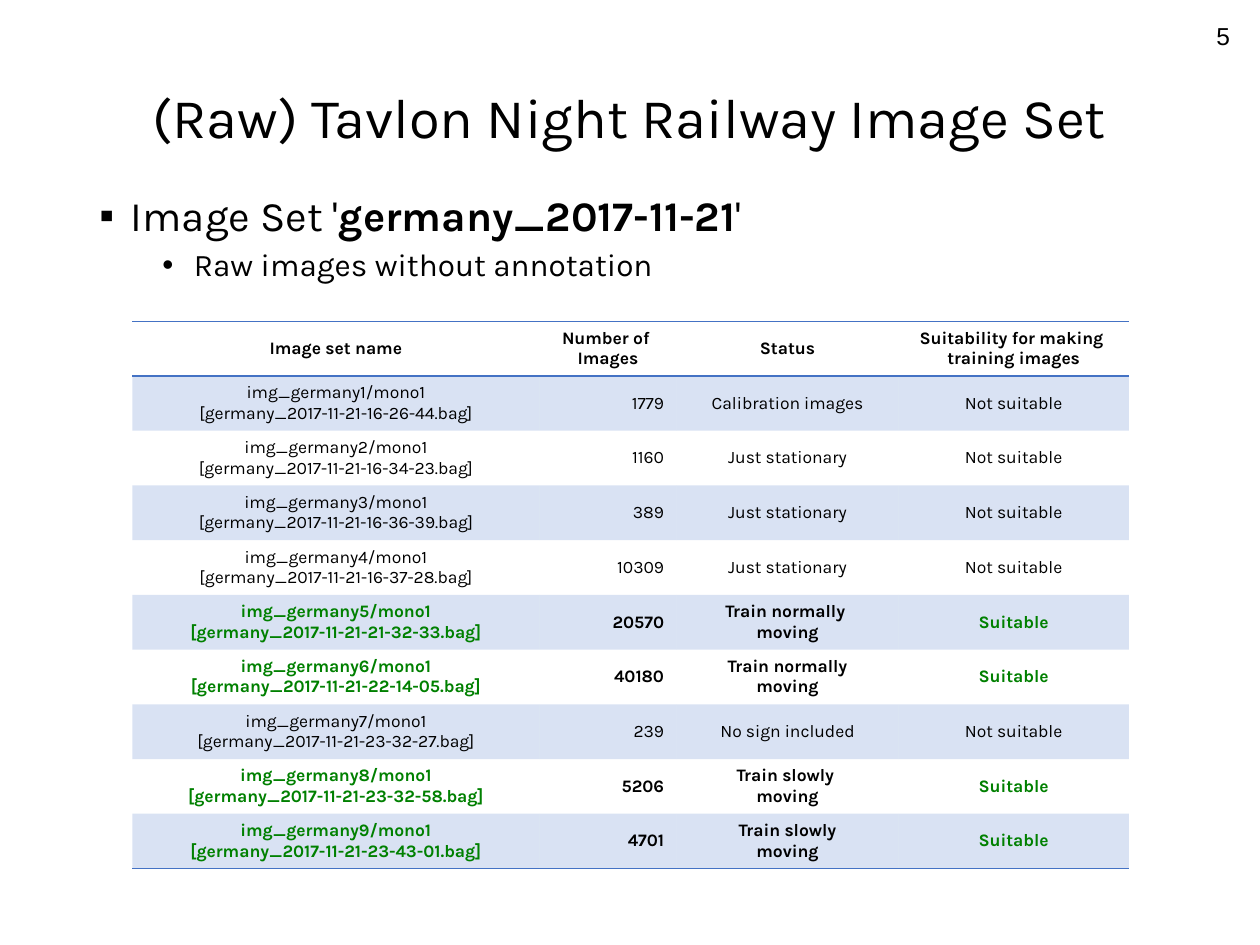
import dataclasses

import lxml.etree
import pptx
import pptx.dml.color
import pptx.enum.text
import pptx.oxml.ns
import pptx.slide
import pptx.table
import pptx.text.text
import pptx.util

SLIDE_WIDTH, SLIDE_HEIGHT = 10, 7.5
FONT = "Karla"
BLACK, GREEN, BLUE = "000000", "008000", "4472C4"
NO_TABLE_STYLE = "{2D5ABB26-0587-4C30-8999-92F81FD0307C}"
CENTER = pptx.enum.text.PP_ALIGN.CENTER
RIGHT = pptx.enum.text.PP_ALIGN.RIGHT
MIDDLE = pptx.enum.text.MSO_ANCHOR.MIDDLE

COLUMN_WIDTHS = (3.23, 1.09, 1.76, 1.83)
ROW_HEIGHT = 0.42
# "\v" breaks a line inside a paragraph, "\n" starts a new paragraph.
HEADERS = (
    "Image set name",
    "Number of \vImages",
    "Status",
    "Suitability for making \vtraining images",
)


@dataclasses.dataclass(frozen=True)
class Box:
    """Place on the slide, in shares of its width and height."""
    left: float
    top: float
    width: float
    height: float

    def lengths(self) -> list[int]:
        return [
            pptx.util.Inches(self.left * SLIDE_WIDTH),
            pptx.util.Inches(self.top * SLIDE_HEIGHT),
            pptx.util.Inches(self.width * SLIDE_WIDTH),
            pptx.util.Inches(self.height * SLIDE_HEIGHT),
        ]


@dataclasses.dataclass(frozen=True)
class ImageSet:
    number: int
    time: str
    images: int
    status: str
    suitable: bool = False

    def texts(self) -> tuple[str, ...]:
        return (
            f"img_germany{self.number}/mono1\n[germany_2017-11-21-{self.time}.bag]",
            str(self.images),
            self.status,
            "Suitable" if self.suitable else "Not suitable",
        )


@dataclasses.dataclass(frozen=True)
class Bullet:
    character: str
    level: int
    indent: float
    space_before: float
    size: float
    runs: tuple[tuple[str, bool], ...]


IMAGE_SETS = (
    ImageSet(1, "16-26-44", 1779, "Calibration images"),
    ImageSet(2, "16-34-23", 1160, "Just stationary"),
    ImageSet(3, "16-36-39", 389, "Just stationary"),
    ImageSet(4, "16-37-28", 10309, "Just stationary"),
    ImageSet(5, "21-32-33", 20570, "Train normally \nmoving", True),
    ImageSet(6, "22-14-05", 40180, "Train normally\nmoving", True),
    ImageSet(7, "23-32-27", 239, "No sign included"),
    ImageSet(8, "23-32-58", 5206, "Train slowly \vmoving", True),
    ImageSet(9, "23-43-01", 4701, "Train slowly\vmoving", True),
)
BULLETS = (
    Bullet("▪", 0, 0.25, 10, 24,
           (("Image Set '", False), ("germany_2017-11-21", True), ("'", False))),
    Bullet("•", 1, 0.75, 5, 18, (("Raw images without annotation", False),)),
)


def color(value: str) -> pptx.dml.color.RGBColor:
    return pptx.dml.color.RGBColor.from_string(value)


def add_element(parent, tag: str, **attributes: str):
    return lxml.etree.SubElement(parent, pptx.oxml.ns.qn(tag), attributes)


def style_font(paragraph, size: float, name: str = FONT,
               font_color: str = BLACK, bold: bool = False) -> None:
    font = paragraph.font
    font.name, font.size, font.bold = name, pptx.util.Pt(size), bold
    font.color.rgb = color(font_color)


def add_text_frame(slide: pptx.slide.Slide, box: Box) -> pptx.text.text.TextFrame:
    frame = slide.shapes.add_textbox(*box.lengths()).text_frame
    frame.word_wrap = True
    return frame


def add_line(slide: pptx.slide.Slide, box: Box, text: str, size: float,
             alignment: pptx.enum.text.PP_ALIGN, font_name: str = FONT) -> None:
    frame = add_text_frame(slide, box)
    frame.vertical_anchor = MIDDLE
    paragraph = frame.paragraphs[0]
    paragraph.text = text
    paragraph.alignment = alignment
    paragraph.line_spacing = 0.9
    style_font(paragraph, size, font_name)


def add_bullets(slide: pptx.slide.Slide, box: Box, bullets: tuple[Bullet, ...]) -> None:
    frame = add_text_frame(slide, box)
    for index, bullet in enumerate(bullets):
        paragraph = frame.add_paragraph() if index else frame.paragraphs[0]
        paragraph.level = bullet.level
        paragraph.line_spacing = 0.9
        paragraph.space_before = pptx.util.Pt(bullet.space_before)
        properties = paragraph._p.get_or_add_pPr()
        properties.set("marL", str(pptx.util.Inches(bullet.indent)))
        properties.set("indent", str(pptx.util.Inches(-0.25)))
        add_element(properties, "a:buFont", typeface="Arial")
        add_element(properties, "a:buChar", char=bullet.character)
        style_font(paragraph, bullet.size)
        for text, bold in bullet.runs:
            run = paragraph.add_run()
            run.text = text
            if bold:
                run.font.bold = True


def fill_cell(cell: pptx.table._Cell, banded: bool) -> None:
    if not banded:
        cell.fill.background()
        return
    cell.fill.solid()
    cell.fill.fore_color.rgb = color(BLUE)
    tint = cell._tc.tcPr.find(".//" + pptx.oxml.ns.qn("a:srgbClr"))
    add_element(tint, "a:alpha", val="20000")


def add_borders(cell: pptx.table._Cell, tags: tuple[str, ...]) -> None:
    """Draw the borders named by tags, which must precede the cell's fill."""
    properties = cell._tc.get_or_add_tcPr()
    for position, tag in enumerate(tags):
        border = add_element(properties, tag, w=str(pptx.util.Pt(1)))
        add_element(add_element(border, "a:solidFill"), "a:srgbClr", val=BLUE)
        properties.insert(position, border)


def write_cell(cell: pptx.table._Cell, text: str, alignment: pptx.enum.text.PP_ALIGN,
               font_color: str, bold: bool) -> None:
    cell.text_frame.text = text
    cell.vertical_anchor = MIDDLE
    for paragraph in cell.text_frame.paragraphs:
        paragraph.alignment = alignment
        style_font(paragraph, 10, font_color=font_color, bold=bold)


def add_image_set_table(slide: pptx.slide.Slide, left: float, top: float) -> None:
    row_count = len(IMAGE_SETS) + 1
    box = Box(left, top, sum(COLUMN_WIDTHS) / SLIDE_WIDTH,
              row_count * ROW_HEIGHT / SLIDE_HEIGHT)
    table = slide.shapes.add_table(row_count, len(COLUMN_WIDTHS), *box.lengths()).table
    table._tbl.tblPr.find(pptx.oxml.ns.qn("a:tableStyleId")).text = NO_TABLE_STYLE
    for column, width in zip(table.columns, COLUMN_WIDTHS):
        column.width = pptx.util.Inches(width)
    for column, header in enumerate(HEADERS):
        cell = table.cell(0, column)
        write_cell(cell, header, CENTER, BLACK, True)
        fill_cell(cell, False)
        add_borders(cell, ("a:lnT", "a:lnB"))
    for row, image_set in enumerate(IMAGE_SETS, start=1):
        for column, text in enumerate(image_set.texts()):
            cell = table.cell(row, column)
            highlighted = image_set.suitable and column in (0, 3)
            write_cell(cell, text, RIGHT if column == 1 else CENTER,
                       GREEN if highlighted else BLACK, image_set.suitable)
            fill_cell(cell, row % 2 == 1)
            if row == len(IMAGE_SETS):
                add_borders(cell, ("a:lnB",))


def main() -> None:
    presentation = pptx.Presentation()
    presentation.slide_width = pptx.util.Inches(SLIDE_WIDTH)
    presentation.slide_height = pptx.util.Inches(SLIDE_HEIGHT)
    slide = presentation.slides.add_slide(presentation.slide_layouts[6])
    add_line(slide, Box(0, 0.083, 1, 0.089), "(Raw) Tavlon Night Railway Image Set", 32, CENTER)
    add_bullets(slide, Box(0.069, 0.2, 0.862, 0.129), BULLETS)
    add_line(slide, Box(0.761, 0.013, 0.225, 0.053), "5", 14, RIGHT, "Arial")
    add_image_set_table(slide, 0.105, 0.34)
    presentation.save("out.pptx")


if __name__ == "__main__":
    main()
